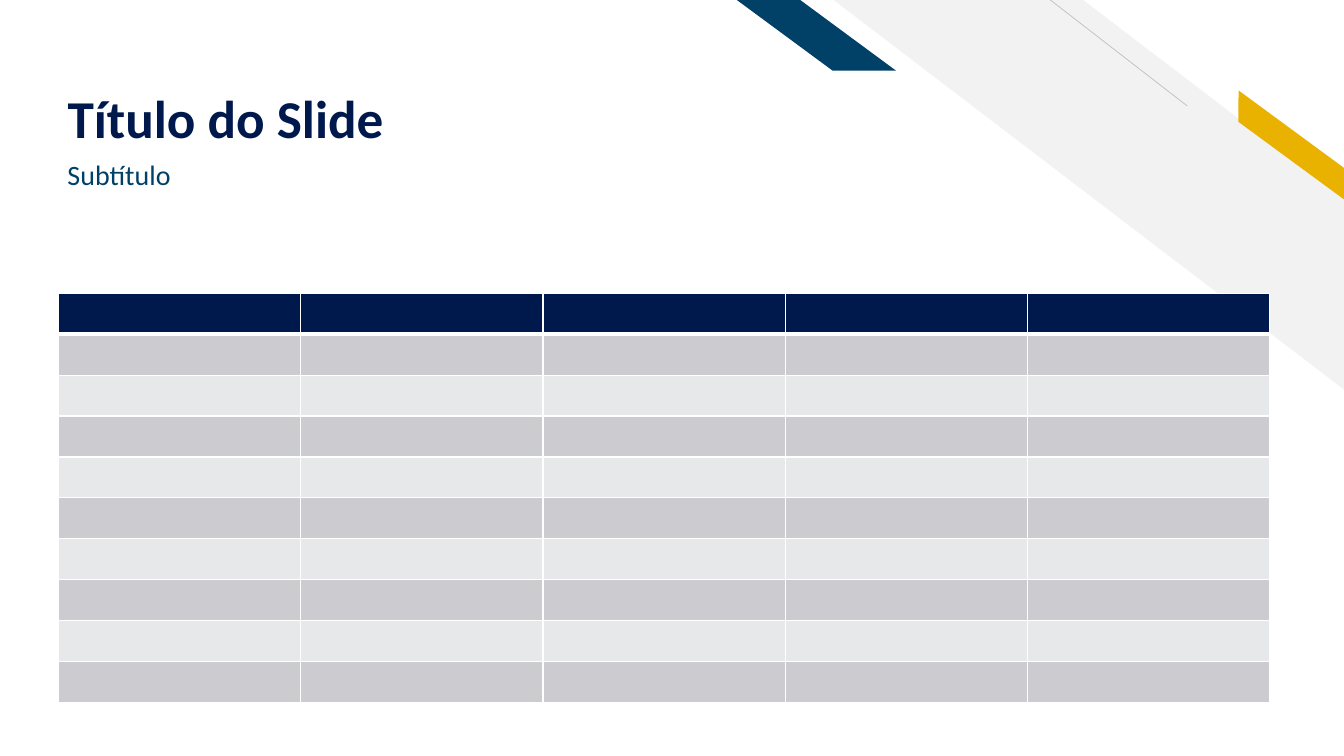
import pptx
import pptx.dml.color
import pptx.enum.shapes
import pptx.enum.text
import pptx.oxml
import pptx.oxml.ns
import pptx.util
from pptx.dml.color import RGBColor
from pptx.util import Cm

NAVY = RGBColor(0x00, 0x19, 0x4C)
TEAL = RGBColor(0x01, 0x40, 0x67)
GOLD = RGBColor(0xEA, 0xB2, 0x00)
PALE_GREY = RGBColor(0xF2, 0xF2, 0xF2)
LINE_GREY = RGBColor(0xBF, 0xBF, 0xBF)
DARK_BAND = RGBColor(0xCC, 0xCC, 0xD0)
LIGHT_BAND = RGBColor(0xE7, 0xE8, 0xE9)
WHITE = RGBColor(0xFF, 0xFF, 0xFF)

FONT = "Calibri"
ROWS, COLUMNS = 10, 5
SHAPES = pptx.enum.shapes.MSO_SHAPE


def add_stripe(page, kind, left, top, width, height, slant, color, angle=0):
    stripe = page.shapes.add_shape(kind, Cm(left), Cm(top), Cm(width), Cm(height))
    stripe.shadow.inherit = False
    stripe.adjustments[0] = slant
    stripe.rotation = angle
    stripe.fill.solid()
    stripe.fill.fore_color.rgb = color
    stripe.line.fill.background()
    stripe._element.spPr.xfrm.set("flipH", "1")


def add_thin_line(page, start, end):
    line = page.shapes.add_connector(
        pptx.enum.shapes.MSO_CONNECTOR.STRAIGHT,
        Cm(start[0]), Cm(start[1]), Cm(end[0]), Cm(end[1]))
    line.line.color.rgb = LINE_GREY
    line.line.width = pptx.util.Pt(0.5)
    pptx.oxml.ns.qn("a:effectLst")
    line._element.spPr.append(pptx.oxml.parse_xml(
        f'<a:effectLst {pptx.oxml.ns.nsdecls("a")}/>'))


def write_text(box, text, size, color, bold=False):
    frame = box.text_frame
    frame.word_wrap = True
    frame.auto_size = pptx.enum.text.MSO_AUTO_SIZE.NONE
    frame.text = text
    para = frame.paragraphs[0]
    para.alignment = pptx.enum.text.PP_ALIGN.LEFT
    font = para.runs[0].font
    font.name = FONT
    font.size = pptx.util.Pt(size)
    font.bold = bold
    font.color.rgb = color


def set_borders(cell, bottom_width):
    # Borders come before the fill in the cell properties
    properties = cell._tc.get_or_add_tcPr()
    widths = {"lnL": 1, "lnR": 1, "lnT": 1, "lnB": bottom_width}
    for index, (side, width) in enumerate(widths.items()):
        properties.insert(index, pptx.oxml.parse_xml(
            f'<a:{side} {pptx.oxml.ns.nsdecls("a")} w="{pptx.util.Pt(width)}">'
            f'<a:solidFill><a:srgbClr val="{WHITE}"/></a:solidFill></a:{side}>'))


def add_banded_table(page):
    table = page.shapes.add_table(
        ROWS, COLUMNS, Cm(1.47), Cm(7.39), Cm(30.53), Cm(10.31)).table
    for row_index, row in enumerate(table.rows):
        if row_index == 0:
            color = NAVY
        else:
            color = DARK_BAND if row_index % 2 else LIGHT_BAND
        for cell in row.cells:
            cell.fill.solid()
            cell.fill.fore_color.rgb = color
            set_borders(cell, 3 if row_index == 0 else 1)
    # The header's thick rule is shared with the row below
    for cell in table.rows[1].cells:
        top = cell._tc.tcPr.find(pptx.oxml.ns.qn("a:lnT"))
        top.set("w", str(pptx.util.Pt(3)))


def main():
    deck = pptx.Presentation()
    deck.slide_width, deck.slide_height = Cm(33.87), Cm(19.05)
    page = deck.slides.add_slide(deck.slide_layouts[5])

    # Corner decoration
    add_stripe(page, SHAPES.DIAGONAL_STRIPE, 21.01, 0, 12.88, 9.83, 0.512, PALE_GREY)
    add_thin_line(page, (29.92, 2.67), (26.47, 0))
    add_stripe(page, SHAPES.PARALLELOGRAM, 30.66, 3.33, 3.76, 0.64, 0.72, GOLD, 36.3)
    add_stripe(page, SHAPES.PARALLELOGRAM, 18.57, 0, 4.01, 1.78, 1.356, TEAL)

    # Table
    add_banded_table(page)

    # Title and subtitle
    title = page.shapes.title
    title.left, title.top, title.width, title.height = Cm(1.45), Cm(0.58), Cm(23.14), Cm(3.2)
    write_text(title, "Título do Slide", 38, NAVY, bold=True)
    title.text_frame.vertical_anchor = pptx.enum.text.MSO_ANCHOR.BOTTOM
    title.text_frame.margin_bottom = 0
    title.text_frame.paragraphs[0].line_spacing = 0.9
    subtitle = page.shapes.add_textbox(Cm(1.45), Cm(3.84), Cm(20.47), Cm(1.7))
    write_text(subtitle, "Subtítulo", 20, TEAL)

    deck.save("out.pptx")


if __name__ == "__main__":
    main()
